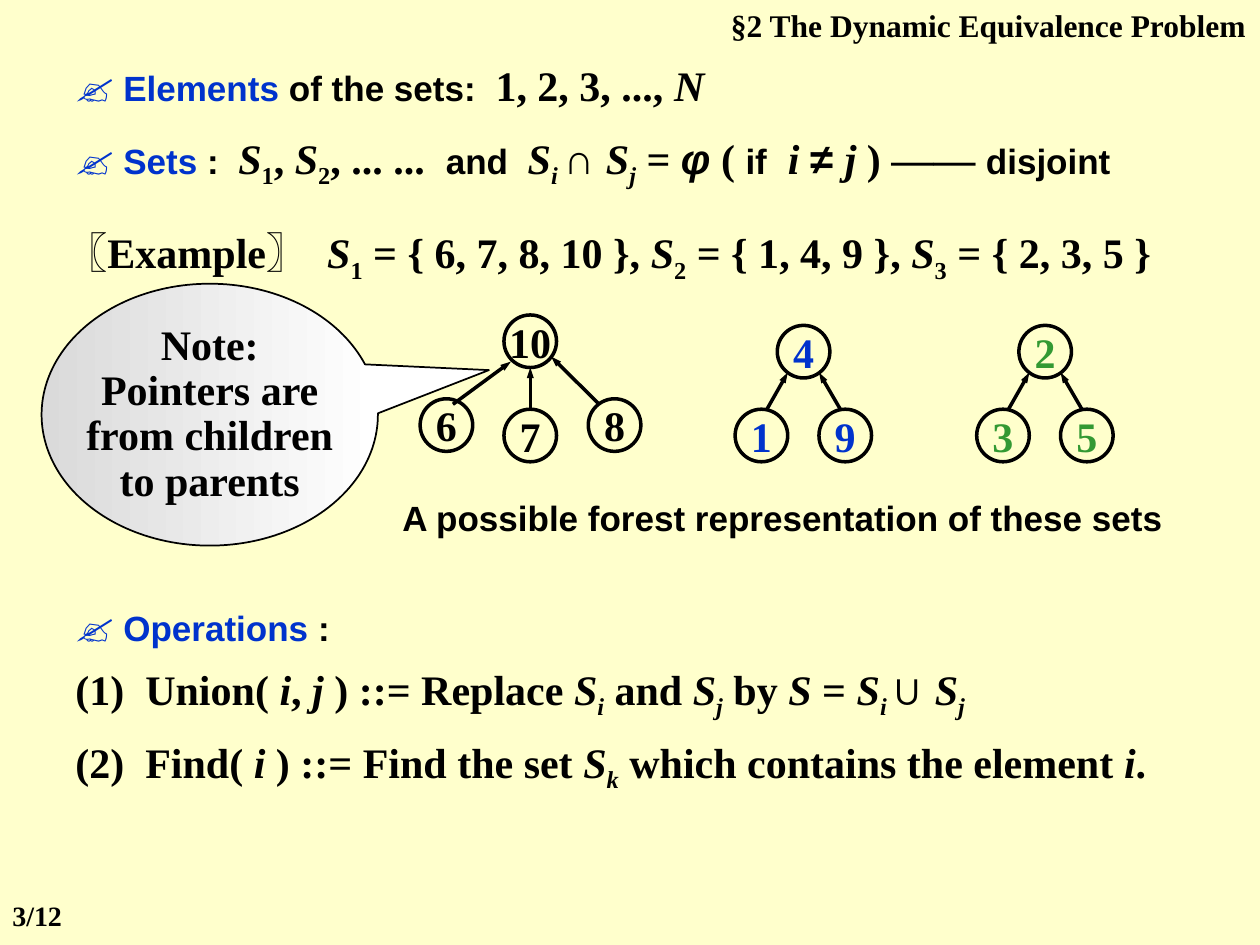
from lxml import etree
from pptx import Presentation
from pptx.dml.color import RGBColor
from pptx.enum.shapes import MSO_CONNECTOR, MSO_SHAPE
from pptx.enum.text import MSO_ANCHOR, MSO_AUTO_SIZE, PP_ALIGN
from pptx.oxml.ns import qn
from pptx.util import Cm, Pt

LEFT, CENTER, RIGHT = PP_ALIGN.LEFT, PP_ALIGN.CENTER, PP_ALIGN.RIGHT
MIDDLE = MSO_ANCHOR.MIDDLE
GROW = MSO_AUTO_SIZE.SHAPE_TO_FIT_TEXT
ELLIPSE, CALLOUT = MSO_SHAPE.OVAL, MSO_SHAPE.OVAL_CALLOUT
STRAIGHT = MSO_CONNECTOR.STRAIGHT

SERIF, SANS = "Times New Roman", "Arial"
BLACK, BLUE, GREEN = "000000", "0033CC", "339933"
NODE = 1.06  # node diameter in cm

# Run formats: serif, italic, subscripts, sans, symbols, bullet and keyword
T = {}
I = dict(italic=True)
SUB = dict(sub=True)
ISUB = dict(italic=True, sub=True)
A = dict(font=SANS, size=20)
SYM = dict(font=SANS)
PHI = dict(font=SANS, italic=True)
MARK = dict(font=SANS, color=BLUE)
KEY = dict(font=SANS, size=20, color=BLUE)


def rgb(color):
    return RGBColor.from_string(color)


def add_text(p, text, font=SERIF, size=24, color=BLACK, italic=False, sub=False):
    r = p.add_run()
    r.text = text
    f = r.font
    f.name, f.size, f.bold, f.italic = font, Pt(size), True, italic
    f.color.rgb = rgb(color)
    if sub:
        r._r.get_or_add_rPr().set("baseline", "-25000")


def fill_frame(tf, lines, align=LEFT, spacing=None, after=()):
    """Each line is a list of (text, format) pairs."""
    for n, line in enumerate(lines):
        p = tf.add_paragraph() if n else tf.paragraphs[0]
        p.alignment = align
        if spacing:
            p.line_spacing = spacing
        if after:
            p.space_after = Pt(after[n])
        for text, style in line:
            add_text(p, text, **style)


def text_box(s, box, lines, **kw):
    tf = s.shapes.add_textbox(*map(Cm, box)).text_frame
    tf.word_wrap = True
    tf.auto_size = GROW
    fill_frame(tf, lines, **kw)


def outlined_shape(shapes, kind, box, width):
    sp = shapes.add_shape(kind, *map(Cm, box))
    sp.shadow.inherit = False
    sp.line.color.rgb = rgb(BLACK)
    sp.line.width = Pt(width)
    sp.text_frame.word_wrap = False
    sp.text_frame.vertical_anchor = MIDDLE
    return sp


def pointer(shapes, parent, child):
    """Line between parent and child with the arrowhead at the parent."""
    c = shapes.add_connector(STRAIGHT, *map(Cm, parent + child))
    c.line.color.rgb = rgb(BLACK)
    c.line.width = Pt(2)
    ln = c.line._get_or_add_ln()
    etree.SubElement(ln, qn("a:headEnd"), type="triangle", w="sm", len="med")
    etree.SubElement(c._element.spPr, qn("a:effectLst"))


def tree(s, left, top, nodes, links, color):
    shapes = s.shapes.add_group_shape().shapes
    for label, x, y in nodes:
        sp = outlined_shape(shapes, ELLIPSE, (left + x, top + y, NODE, NODE), 2)
        sp.fill.background()
        fill_frame(sp.text_frame, [[(label, dict(color=color))]], align=CENTER)
    for x1, y1, x2, y2 in links:
        pointer(shapes, (left + x1, top + y1), (left + x2, top + y2))


def small_tree(s, left, top, labels, color):
    spots = [(0.85, 0), (0, 1.69), (1.69, 1.69)]
    nodes = [(label, *spot) for label, spot in zip(labels, spots)]
    links = [(1.06, 0.95, 0.64, 1.69), (1.69, 0.95, 2.12, 1.69)]
    tree(s, left, top, nodes, links, color)


def forest(s, left, top):
    nodes = [("10", 1.69, 0), ("6", 0, 1.69), ("8", 3.39, 1.69), ("7", 1.69, 1.9)]
    links = [(1.83, 0.94, 0.66, 1.8), (2.64, 0.84, 3.61, 1.8),
             (2.22, NODE, 2.22, 1.9)]
    tree(s, left, top, nodes, links, BLACK)
    small_tree(s, left + 6.35, top + 0.21, "419", BLUE)
    small_tree(s, left + 11.22, top + 0.21, "235", GREEN)
    text_box(s, (left - 1.48, top + 3.63, 17.58, 1.02),
             [[("A possible forest representation of these sets", A)]],
             align=CENTER, spacing=0.9)


def note(s, box):
    sp = outlined_shape(s.shapes, CALLOUT, box, 1)
    sp.adjustments[0], sp.adjustments[1] = 0.83, -0.17
    sp.fill.gradient()
    sp.fill.gradient_angle = 0
    for stop, color in zip(sp.fill.gradient_stops, ("DADADA", "FFFFFF")):
        stop.color.rgb = rgb(color)
    lines = ["Note:", "Pointers are", "from children", "to parents"]
    fill_frame(sp.text_frame, [[(line, T)] for line in lines],
               align=CENTER, spacing=0.9)


def definitions(s, left, top):
    text_box(s, (left, top, 16.08, 1.27), [[
        ("✍", MARK), (" Elements", KEY), (" of the sets:  ", A),
        ("1, 2, 3, ..., ", T), ("N", I)]])
    text_box(s, (left, top + 1.47, 21.59, 1.42), [[
        ("✍", MARK), (" Sets ", KEY), (":  ", A),
        ("S", I), ("1", SUB), (", ", T), ("S", I), ("2", SUB),
        (", ... ...  ", T), ("and  ", A),
        ("S", I), ("i ", ISUB), ("∩ ", SYM), ("S", I), ("j", ISUB),
        (" = ", T), ("φ", PHI), (" ( ", T), ("if", A), ("  ", T),
        ("i ", I), ("≠ ", SYM), ("j", I), (" ) —— ", T), ("disjoint", A)]])


def example(s, box):
    sets = [("1", " = { 6, 7, 8, 10 }, "), ("2", " = { 1, 4, 9 }, "),
            ("3", " = { 2, 3, 5 }")]
    line = [("〖Example〗  ", T)]
    for index, members in sets:
        line += [("S", I), (index, SUB), (members, T)]
    text_box(s, box, [line])


def operations(s, box):
    text_box(s, box, [
        [("✍", MARK), (" Operations ", KEY), (":", A)],
        [("(1)  Union( ", T), ("i", I), (", ", T), ("j ", I),
         (") ::= Replace ", T), ("S", I), ("i", ISUB), (" and ", T),
         ("S", I), ("j", ISUB), (" by ", T), ("S", I), (" = ", T),
         ("S", I), ("i ", ISUB), ("∪ ", SYM), ("S", I), ("j", ISUB)],
        [("(2)  Find( ", T), ("i", I), (" ) ::= Find the set ", T),
         ("S", I), ("k", ISUB), (" which contains the element ", T),
         ("i", I), (".", T)],
    ], after=(7.5, 9, 9))


def main():
    prs = Presentation()
    prs.slide_width, prs.slide_height = Cm(25.4), Cm(19.05)
    s = prs.slides.add_slide(prs.slide_layouts[6])
    s.background.fill.solid()
    s.background.fill.fore_color.rgb = rgb("FFFFCC")

    # Section heading
    text_box(s, (12.9, 0, 12.47, 1.02),
             [[("§2 The Dynamic Equivalence Problem", dict(size=18))]], align=RIGHT)
    # Sets, example and its forest
    definitions(s, 1.27, 1.07)
    example(s, (1.07, 4.45, 23.06, 1.42))
    forest(s, 8.47, 6.35)
    note(s, (0.84, 5.72, 6.78, 5.28))
    # Operations
    operations(s, (1.27, 11.96, 22.23, 4.17))
    # Page number
    text_box(s, (0, 17.98, 2.34, 0.94), [[("3/12", dict(size=16))]])

    prs.save("out.pptx")


if __name__ == "__main__":
    main()
